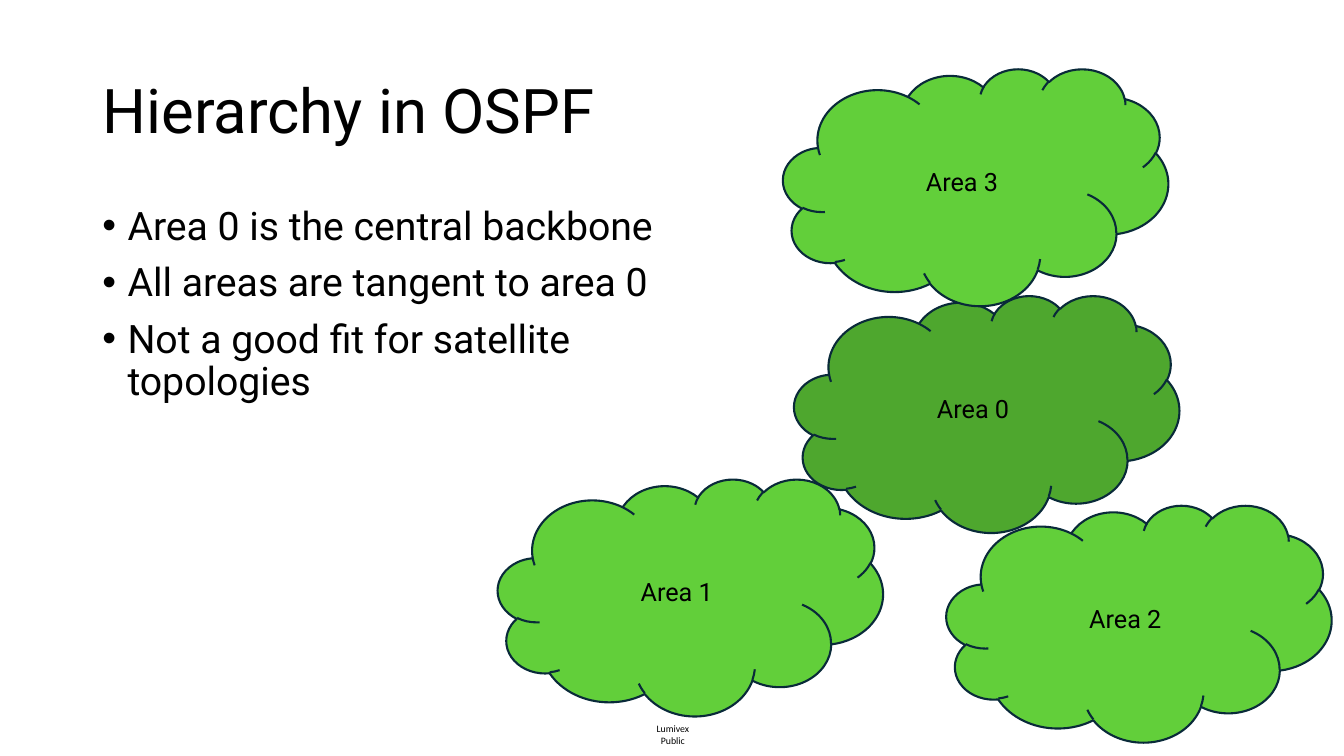
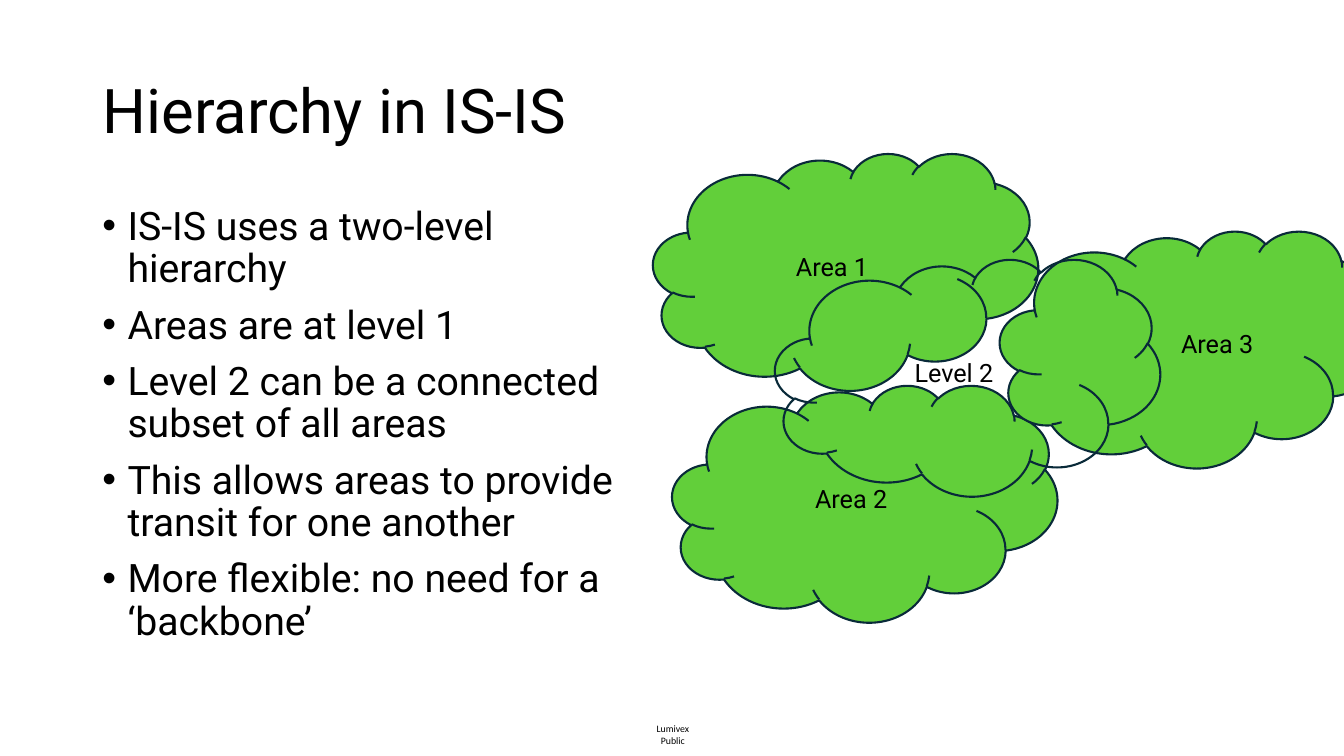
from lxml.etree import SubElement
from pptx import Presentation
from pptx.dml.color import RGBColor
from pptx.enum.shapes import MSO_SHAPE
from pptx.enum.text import MSO_ANCHOR, MSO_AUTO_SIZE, PP_ALIGN
from pptx.oxml.ns import qn
from pptx.util import Inches, Pt

BLACK = RGBColor(0x00, 0x00, 0x00)
NAVY = RGBColor(0x09, 0x2A, 0x39)
GREEN = RGBColor(0x62, 0xCF, 0x3A)
DARK_GREEN = RGBColor(0x4E, 0xA7, 0x2E)

FONT = "Roboto"
FOOTER_FONT = "Calibri"
FOOTER = "Lumivex Public"

# The slide is divided into 40 columns and 30 rows
COLUMNS, ROWS = 40, 30
TITLE_AREA = (2.75, 1.6, 34.5, 5.8)
BODY_AREA = (2.75, 8, 17, 19.04)
FOOTER_AREA = (19.17, 28.68, 1.71, 0.48)
CLOUD_SIZE = (11.46, 9.4)


class Slides:
    """Holds the shared style and the current page."""

    def __init__(self):
        self.deck = Presentation()
        self.deck.slide_width = Inches(13.33)
        self.deck.slide_height = Inches(7.5)
        self.page = None

    def place(self, column, row, columns, rows):
        across = self.deck.slide_width / COLUMNS
        down = self.deck.slide_height / ROWS
        return (round(column * across), round(row * down),
                round(columns * across), round(rows * down))

    def add_text(self, para, text, size, font=FONT):
        span = para.add_run()
        span.text = text
        span.font.name = font
        span.font.size = Pt(size)
        span.font.color.rgb = BLACK

    def new_page(self, title):
        self.page = self.deck.slides.add_slide(self.deck.slide_layouts[5])
        self.footer()
        box = self.page.shapes.title
        box.left, box.top, box.width, box.height = self.place(*TITLE_AREA)
        frame = box.text_frame
        frame.auto_size = MSO_AUTO_SIZE.NONE
        frame.vertical_anchor = MSO_ANCHOR.MIDDLE
        para = frame.paragraphs[0]
        para.alignment = PP_ALIGN.LEFT
        para.line_spacing = 0.9
        self.add_text(para, title, 44)

    def footer(self):
        frame = self.page.shapes.add_textbox(*self.place(*FOOTER_AREA)).text_frame
        frame.margin_left = frame.margin_right = 0
        frame.margin_top = frame.margin_bottom = 0
        frame.word_wrap = False
        para = frame.paragraphs[0]
        para.alignment = PP_ALIGN.CENTER
        self.add_text(para, FOOTER, 7, FOOTER_FONT)

    def bullets(self, lines):
        frame = self.page.shapes.add_textbox(*self.place(*BODY_AREA)).text_frame
        frame.word_wrap = True
        for index, line in enumerate(lines):
            para = frame.add_paragraph() if index else frame.paragraphs[0]
            para.line_spacing = 0.9
            para.space_before = Pt(10)
            # Hanging bullet
            properties = para._p.get_or_add_pPr()
            properties.set("marL", str(Inches(0.25)))
            properties.set("indent", str(-Inches(0.25)))
            SubElement(properties, qn("a:buFont"), typeface="Arial")
            SubElement(properties, qn("a:buChar"), char="•")
            self.add_text(para, line, 28)

    def cloud(self, label, column, row, fill=GREEN, left_margin=0.1):
        cloud = self.page.shapes.add_shape(
            MSO_SHAPE.CLOUD, *self.place(column, row, *CLOUD_SIZE))
        cloud.shadow.inherit = False
        if fill is None:
            cloud.fill.background()
        else:
            cloud.fill.solid()
            cloud.fill.fore_color.rgb = fill
        cloud.line.color.rgb = NAVY
        cloud.line.width = Pt(1.5)
        frame = cloud.text_frame
        frame.word_wrap = True
        frame.margin_left = Inches(left_margin)
        frame.vertical_anchor = MSO_ANCHOR.MIDDLE
        para = frame.paragraphs[0]
        para.alignment = PP_ALIGN.CENTER
        self.add_text(para, label, 18)


def main():
    slides = Slides()

    # Areas around a central backbone
    slides.new_page("Hierarchy in OSPF")
    slides.bullets([
        "Area 0 is the central backbone",
        "All areas are tangent to area 0",
        "Not a good fit for satellite topologies",
    ])
    slides.cloud("Area 0", 23.64, 11.72, DARK_GREEN)
    slides.cloud("Area 1", 14.82, 19)
    slides.cloud("Area 2", 28.17, 20.04)
    slides.cloud("Area 3", 23.31, 2.72)

    # Areas overlapped by a second level
    slides.new_page("Hierarchy in IS-IS")
    slides.bullets([
        "IS-IS uses a two-level hierarchy",
        "Areas are at level 1",
        "Level 2 can be a connected subset of all areas",
        "This allows areas to provide transit for one another",
        "More flexible: no need for a ‘backbone’",
    ])
    slides.cloud("Area 1", 19.44, 6.08)
    slides.cloud("Area 2", 20.01, 15.28)
    slides.cloud("Area 3", 29.76, 9.16, left_margin=0.86)
    slides.cloud("Level 2", 23.07, 10.28, fill=None)

    slides.deck.save("out.pptx")


if __name__ == "__main__":
    main()
